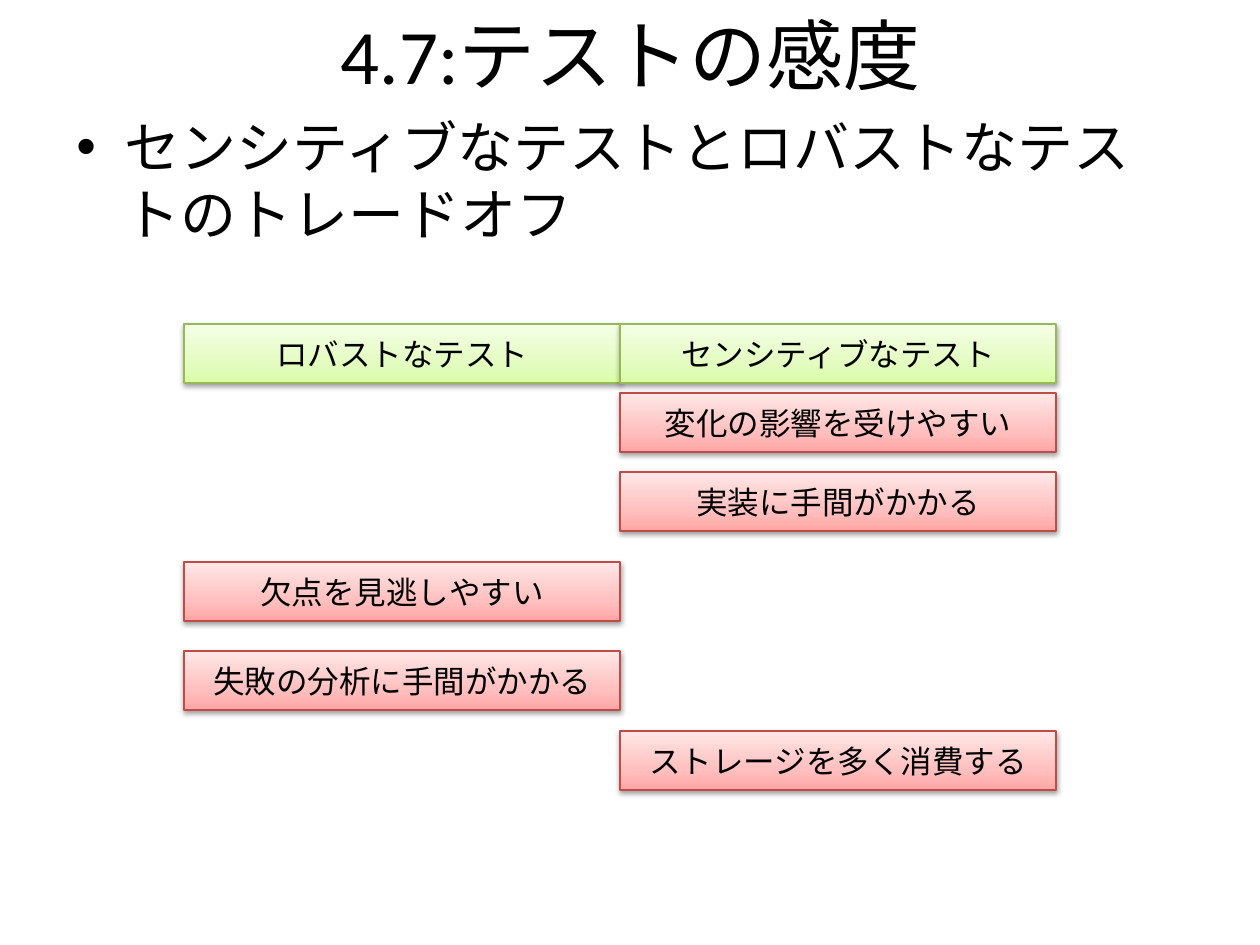
from copy import deepcopy
from lxml.etree import SubElement as Sub
from pptx import Presentation
from pptx.dml.color import RGBColor as RGB
from pptx.enum.lang import MSO_LANGUAGE_ID as Lang
from pptx.enum.shapes import MSO_SHAPE as Shape
from pptx.enum.text import MSO_ANCHOR as Anchor, PP_ALIGN as Align
from pptx.oxml.ns import qn
from pptx.util import Inches, Pt

BLACK = RGB(0x00, 0x00, 0x00)
GREEN = [RGB(0xDA, 0xFD, 0xA7), RGB(0xE4, 0xFC, 0xC2), RGB(0xF5, 0xFF, 0xE7)]
OLIVE = RGB(0x98, 0xB9, 0x55)
PINK = [RGB(0xFF, 0xA6, 0xA5), RGB(0xFF, 0xC0, 0xBF), RGB(0xFF, 0xE7, 0xE7)]
RED = RGB(0xBF, 0x4C, 0x48)
SCALE = Inches(1) / 126


def px(size):
    return round(size * SCALE)


class Deck:
    font = "Calibri"
    ink = BLACK

    def __init__(self):
        self.prs = Presentation()
        self.prs.slide_width = Inches(10)
        self.prs.slide_height = Inches(7.5)
        self.slide = self.prs.slides.add_slide(self.prs.slide_layouts[6])

    def label(self, frame, text, size, align, anchor):
        frame.word_wrap = True
        frame.vertical_anchor = anchor
        para = frame.paragraphs[0]
        para.alignment = align
        run = para.add_run()
        run.text = text
        run.font.name = self.font
        run.font.size = Pt(size)
        run.font.color.rgb = self.ink
        run.font.language_id = Lang.JAPANESE
        return para

    def text(self, area, text, size, align=Align.LEFT, anchor=Anchor.TOP):
        box = self.slide.shapes.add_textbox(*map(px, area))
        return self.label(box.text_frame, text, size, align, anchor)

    def bullet(self, area, text, size, indent):
        para = self.text(area, text, size)
        para.space_before = Pt(size * 0.2)
        props = para._p.get_or_add_pPr()
        props.set("marL", str(px(indent)))
        props.set("indent", str(-px(indent)))
        Sub(props, qn("a:buFont"), typeface="Arial")
        Sub(props, qn("a:buChar"), char="•")

    def shade(self, box, tones):
        box.fill.gradient()
        box.fill.gradient_angle = 90
        stops = box._element.spPr.find(qn("a:gradFill")).find(qn("a:gsLst"))
        stops.insert(1, deepcopy(stops[0]))
        for stop, place, tone in zip(box.fill.gradient_stops, (0, 0.35, 1), tones):
            stop.position = place
            stop.color.rgb = tone

    def shadow(self, box):
        box.shadow.inherit = False
        effects = box._element.spPr.find(qn("a:effectLst"))
        outer = Sub(effects, qn("a:outerShdw"), blurRad="40000", dist="20000",
                    dir="5400000", rotWithShape="0")
        color = Sub(outer, qn("a:srgbClr"), val="000000")
        Sub(color, qn("a:alpha"), val="38000")

    def panel(self, area, text, tones, edge):
        box = self.slide.shapes.add_shape(Shape.RECTANGLE, *map(px, area))
        self.shade(box, tones)
        box.line.color.rgb = edge
        box.line.width = Pt(0.75)
        self.shadow(box)
        self.label(box.text_frame, text, 18, Align.CENTER, Anchor.MIDDLE)


deck = Deck()
deck.bullet((64, 106, 1134, 688),
            "センシティブなテストとロバストなテストのトレードオフ", 32, 48)
deck.text((64, 0, 1134, 107), "4.7:テストの感度", 44, Align.CENTER, Anchor.MIDDLE)

LEFT, WIDTH, HEIGHT = 184, 436, 59
HEAD = GREEN, OLIVE
FLAW = PINK, RED
panels = [
    (0, 324, "ロバストなテスト", HEAD),
    (1, 324, "センシティブなテスト", HEAD),
    (1, 393, "変化の影響を受けやすい", FLAW),
    (1, 472, "実装に手間がかかる", FLAW),
    (0, 562, "欠点を見逃しやすい", FLAW),
    (0, 651, "失敗の分析に手間がかかる", FLAW),
    (1, 731, "ストレージを多く消費する", FLAW),
]
for col, top, text, look in panels:
    deck.panel((LEFT + col * WIDTH, top, WIDTH, HEIGHT), text, *look)

deck.prs.save("out.pptx")
